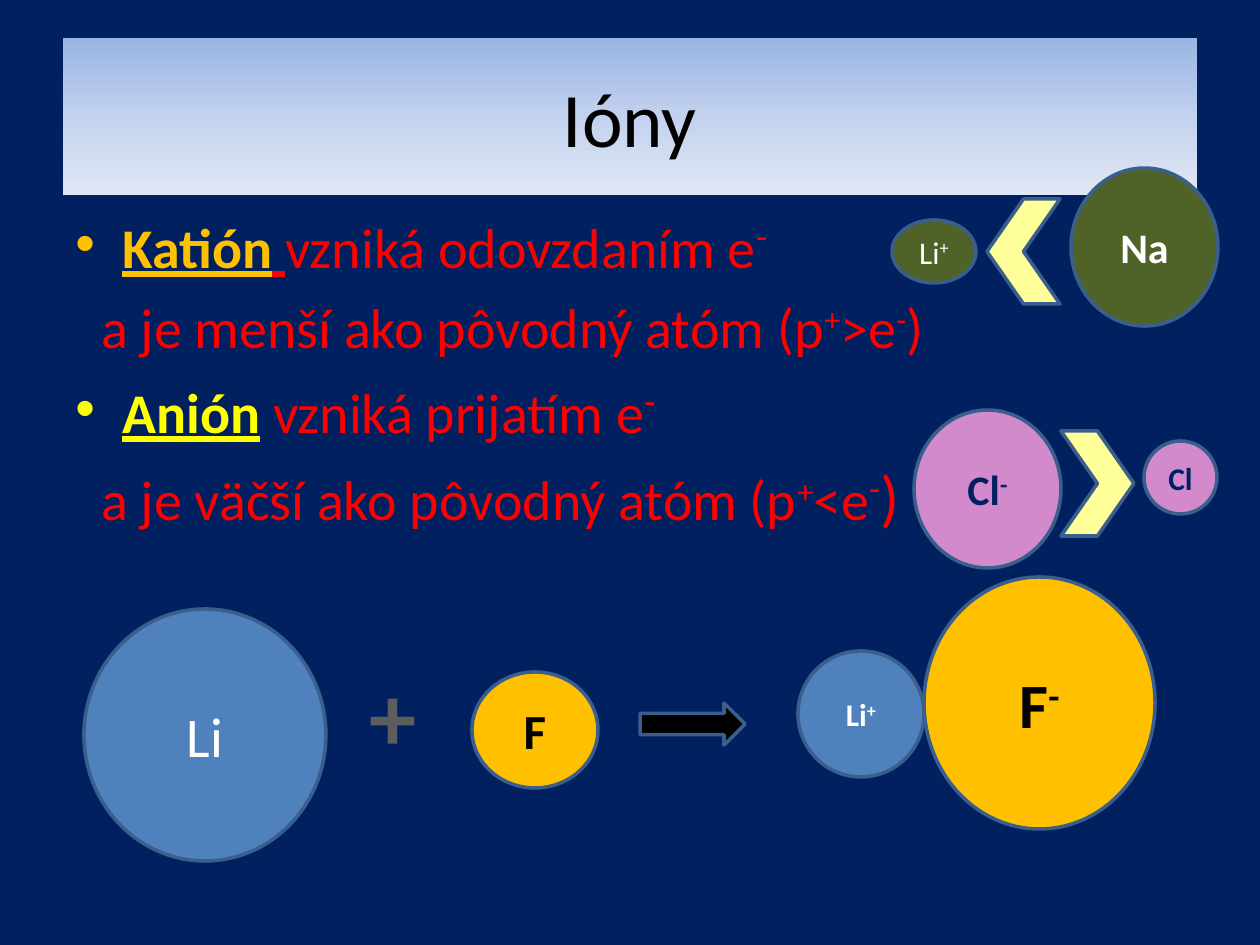
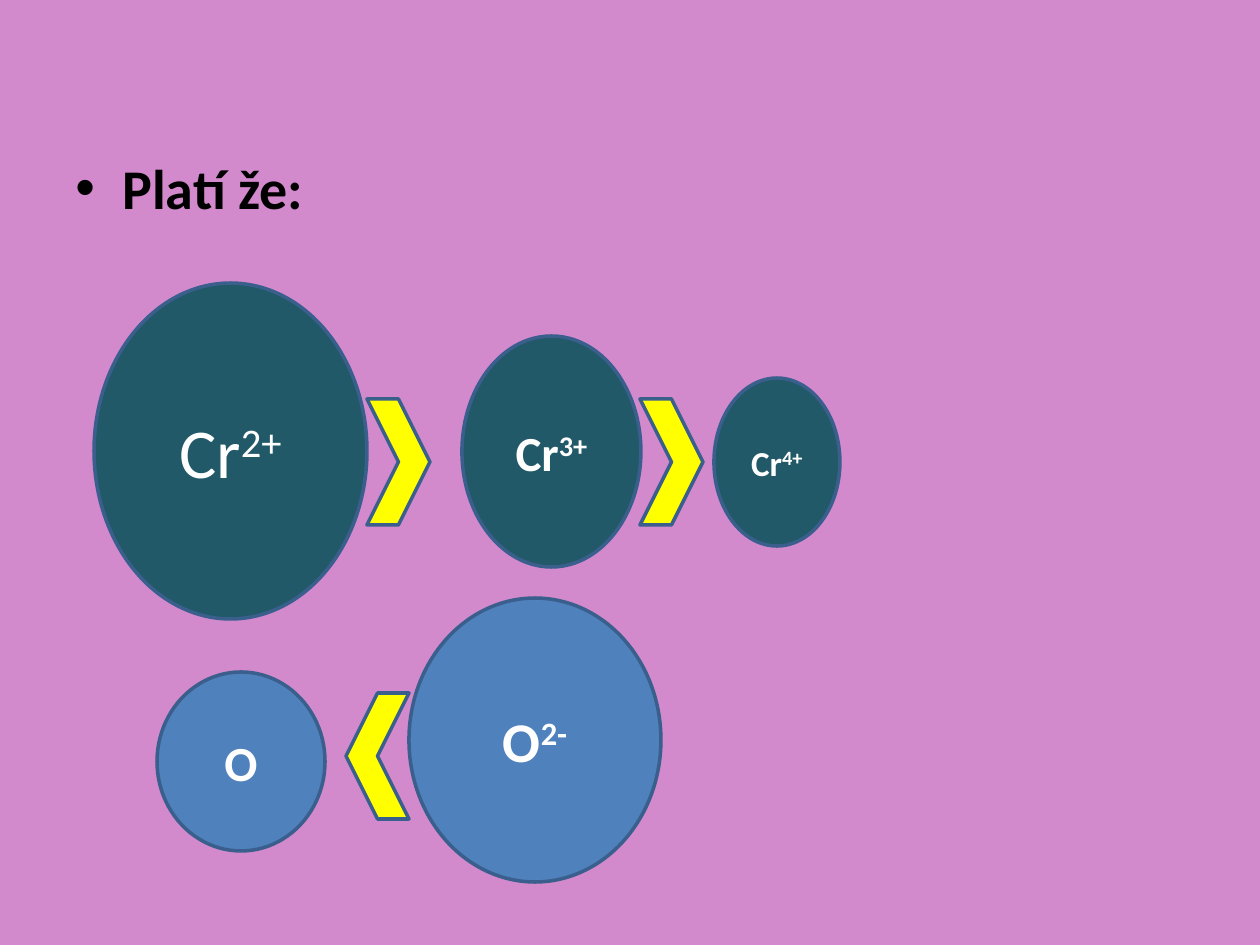
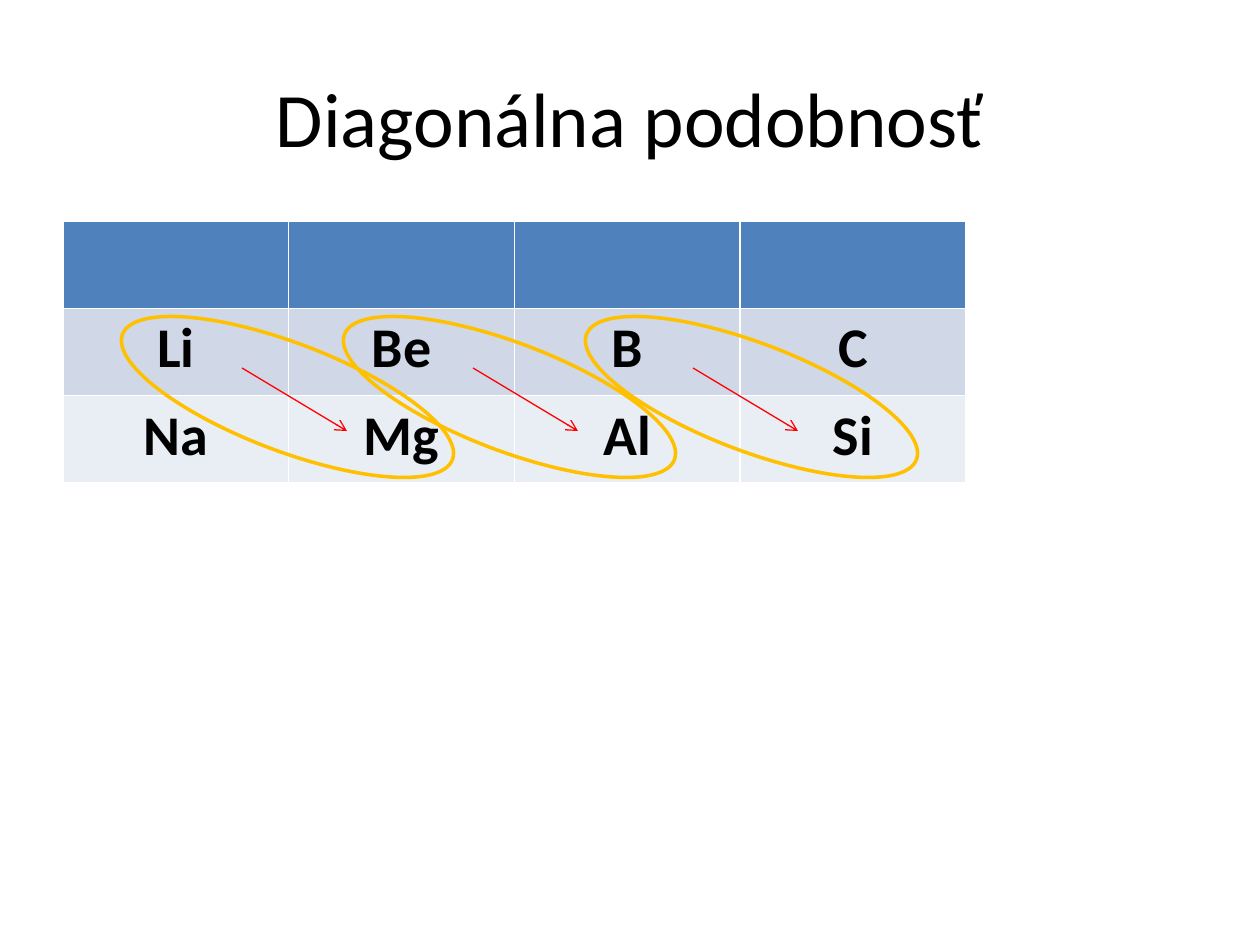
from copy import deepcopy
from pptx import Presentation
from pptx.dml.color import RGBColor
from pptx.enum.shapes import MSO_CONNECTOR, MSO_SHAPE
from pptx.enum.text import MSO_ANCHOR, PP_ALIGN
from pptx.oxml.ns import qn
from pptx.util import Emu, Pt

OVAL, CHEVRON = MSO_SHAPE.OVAL, MSO_SHAPE.CHEVRON
ARROW, RECT = MSO_SHAPE.RIGHT_ARROW, MSO_SHAPE.RECTANGLE
LINE = MSO_CONNECTOR.STRAIGHT
MIDDLE, TOP = MSO_ANCHOR.MIDDLE, MSO_ANCHOR.TOP
CENTER, LEFT = PP_ALIGN.CENTER, PP_ALIGN.LEFT

FONT = "Calibri"
SCALE = 914400 / 126
COLORS = {
    "navy": "002060", "pink": "D28ACD", "white": "FFFFFF", "black": "000000",
    "blue": "4F81BD", "edge": "3A5F8C", "gold": "FFC000", "olive": "4F6228",
    "teal": "215968", "cream": "FFFF99", "yellow": "FFFF00", "red": "FF0000",
    "gray": "5D5D5D", "band1": "D0D8E8", "band2": "E9EDF4",
    "sky1": "9AB5E4", "sky2": "C2D1ED", "sky3": "E1E8F5",
}
SKY = [("sky1", 0), ("sky2", 0.5), ("sky3", 1)]
TITLE = (63, 38, 1134, 157)

# Each run: text, colour, size, flags (b bold, u underline, s superscript)
IONS = [
    (True, [("Katión", "gold", 32, "bu"), (" ", "red", 32, "bu"),
            ("vzniká odovzdaním e", "red", 32, ""), ("-", "red", 36, "s")]),
    (False, [("a je menší ako pôvodný atóm (p", "red", 32, ""), ("+", "red", 32, "s"),
             (">e", "red", 32, ""), ("-", "red", 32, "s"), (")", "red", 32, "")]),
    (True, [("Anión", "yellow", 32, "bu"), (" vzniká prijatím e", "red", 32, ""),
            ("-", "red", 36, "s")]),
    (False, [("a je väčší ako pôvodný atóm (p", "red", 32, ""), ("+", "red", 32, "s"),
             ("<e", "red", 32, ""), ("-", "red", 36, "s"), (")", "red", 36, "")]),
]
RULE = [(True, [("Platí že:", "black", 32, "b")])]

ION_ATOMS = [
    ("F", "", 28, "b", "black", "gold", (472, 672, 126, 116)),
    ("Li", "+", 18, "b", "white", "blue", (798, 651, 126, 126)),
    ("Li", "", 32, "", "white", "blue", (84, 609, 242, 252)),
    ("F", "-", 36, "b", "black", "gold", (924, 577, 231, 252)),
    ("Li", "+", 18, "", "white", "olive", (892, 220, 84, 63)),
    ("Na", "", 24, "b", "white", "olive", (1071, 168, 147, 158)),
    ("Cl", "-", 24, "b", "navy", "pink", (914, 410, 147, 158)),
    ("Cl", "", 18, "b", "navy", "pink", (1144, 441, 73, 73)),
]
ION_SIGNS = [
    (ARROW, "black", (640, 703, 105, 42), 0),
    (CHEVRON, "cream", (987, 199, 73, 105), 180),
    (CHEVRON, "cream", (1061, 431, 73, 105), 0),
]
RULE_ATOMS = [
    ("Cr", "2+", 40, "", "white", "teal", (94, 283, 273, 336)),
    ("Cr", "3+", 28, "b", "white", "teal", (462, 336, 179, 231)),
    ("O", "", 28, "b", "white", "blue", (157, 672, 168, 179)),
    ("O", "2-", 32, "b", "white", "blue", (409, 598, 252, 284)),
    ("Cr", "4+", 20, "b", "white", "teal", (714, 378, 126, 168)),
]
RULE_SIGNS = [
    (CHEVRON, "yellow", (367, 399, 63, 126), 0),
    (CHEVRON, "yellow", (640, 399, 63, 126), 0),
    (CHEVRON, "yellow", (346, 693, 63, 126), 180),
]
GRID = [["", "", "", ""], ["Li", "Be", "B", "C"], ["Na", "Mg", "Al", "Si"]]
FILLS = ["blue", "band1", "band2"]
PAIRS = [(242, 111), (473, 333), (693, 575)]


def px(n):
    return Emu(round(n * SCALE))


def place(box):
    return [px(n) for n in box]


def rgb(name):
    return RGBColor.from_string(COLORS[name])


def new_slide(deck, color):
    slide = deck.slides.add_slide(deck.slide_layouts[6])
    slide.background.fill.solid()
    slide.background.fill.fore_color.rgb = rgb(color)
    return slide


def style(font, color, size, flags=""):
    font.name = FONT
    font.size = Pt(size)
    font.color.rgb = rgb(color)
    font.bold = "b" in flags
    font.underline = "u" in flags


def add_run(para, text, raised=False):
    run = para.add_run()
    run.text = text
    if raised:
        run._r.get_or_add_rPr().set("baseline", "30000")
    return run


def set_frame(shape, anchor, wrap=True):
    frame = shape.text_frame
    frame.word_wrap = wrap
    frame.vertical_anchor = anchor
    return frame


def add_label(frame, text, color, size, flags="", sup=""):
    para = frame.paragraphs[0]
    para.alignment = CENTER
    style(para.font, color, size, flags)
    add_run(para, text)
    if sup:
        add_run(para, sup, True)


def add_form(slide, kind, box, fill=None, edge="edge", turn=0):
    form = slide.shapes.add_shape(kind, *place(box))
    form.shadow.inherit = False
    form.rotation = turn
    if fill:
        form.fill.solid()
        form.fill.fore_color.rgb = rgb(fill)
    else:
        form.fill.background()
    if edge:
        form.line.color.rgb = rgb(edge)
        form.line.width = Pt(2)
    else:
        form.line.fill.background()
    return form


def add_title(slide, text, band=False):
    form = add_form(slide, RECT, TITLE, edge=None)
    if band:
        form.fill.gradient()
        form.fill.gradient_angle = 270
        first = form.fill.gradient_stops[0]._gs
        first.addnext(deepcopy(first))
        for stop, (name, spot) in zip(form.fill.gradient_stops, SKY):
            stop.color.rgb = rgb(name)
            stop.position = spot
    add_label(set_frame(form, MIDDLE), text, "black", 44)


def add_body(slide, box, items):
    frame = set_frame(slide.shapes.add_textbox(*place(box)), TOP)
    for i, (dot, runs) in enumerate(items):
        para = frame.add_paragraph() if i else frame.paragraphs[0]
        para.alignment = LEFT
        if i:
            para.space_before = Pt(6.4)
        props = para._p.get_or_add_pPr()
        props.set("marL", str(px(47 if dot else 26)))
        props.set("indent", str(px(-47 if dot else 0)))
        if dot:
            face = props.makeelement(qn("a:buFont"), {"typeface": "Arial"})
            mark = props.makeelement(qn("a:buChar"), {"char": "•"})
            props.extend([face, mark])
        for text, color, size, flags in runs:
            style(add_run(para, text, "s" in flags).font, color, size, flags)


def add_atoms(slide, atoms):
    for text, sup, size, flags, color, fill, box in atoms:
        frame = set_frame(add_form(slide, OVAL, box, fill), MIDDLE)
        frame.margin_left = frame.margin_right = 0
        add_label(frame, text, color, size, flags, sup)


def add_signs(slide, signs):
    for kind, fill, box, turn in signs:
        add_form(slide, kind, box, fill, turn=turn)


def add_grid(slide):
    shape = slide.shapes.add_table(len(GRID), len(GRID[0]), *place((63, 221, 903, 262)))
    for row, texts, fill in zip(shape.table.rows, GRID, FILLS):
        for cell, text in zip(row.cells, texts):
            cell.fill.solid()
            cell.fill.fore_color.rgb = rgb(fill)
            if text:
                add_label(cell.text_frame, text, "black", 32, "b")


def add_arrow(slide, x):
    link = slide.shapes.add_connector(LINE, *place((x, 368, x + 105, 431)))
    link.line.color.rgb = rgb("red")
    link.line.width = Pt(0.75)
    edge = link.line._get_or_add_ln()
    edge.append(edge.makeelement(qn("a:tailEnd"), {"type": "arrow"}))
    edge.addnext(edge.makeelement(qn("a:effectLst"), {}))


def main():
    deck = Presentation()
    deck.slide_width, deck.slide_height = px(1260), px(945)

    slide = new_slide(deck, "navy")
    add_title(slide, "Ióny", band=True)
    add_body(slide, (63, 199, 1134, 624), IONS)
    add_atoms(slide, ION_ATOMS)
    plus = slide.shapes.add_textbox(*place((357, 651, 73, 127)))
    add_label(set_frame(plus, TOP, wrap=False), "+", "gray", 54, "b")
    add_signs(slide, ION_SIGNS)

    slide = new_slide(deck, "pink")
    add_body(slide, (63, 147, 1134, 697), RULE)
    add_atoms(slide, RULE_ATOMS)
    add_signs(slide, RULE_SIGNS)

    slide = new_slide(deck, "white")
    add_title(slide, "Diagonálna podobnosť")
    add_grid(slide)
    for start, left in PAIRS:
        add_arrow(slide, start)
        add_form(slide, OVAL, (left, 343, 353, 108), edge="gold", turn=20.8)

    deck.save("out.pptx")


if __name__ == "__main__":
    main()
